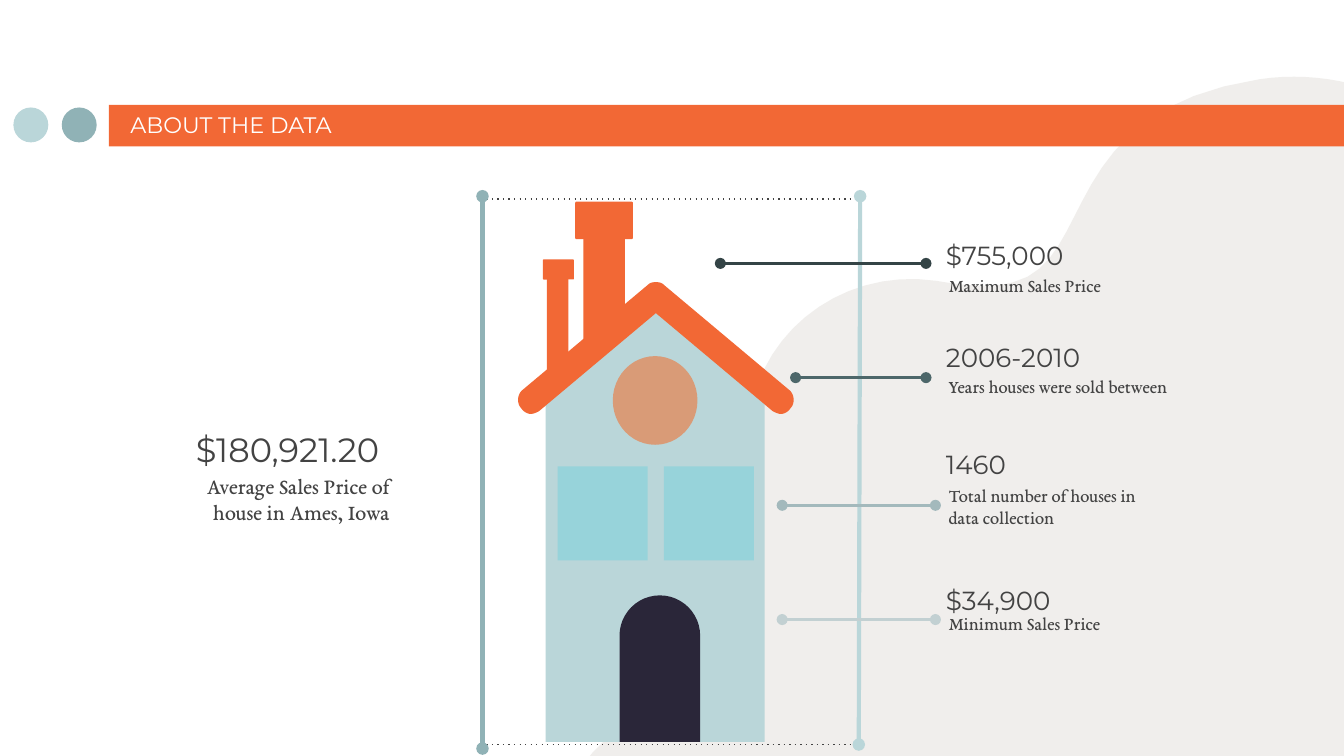
from lxml.etree import SubElement
from pptx import Presentation
from pptx.dml.color import RGBColor
from pptx.enum.shapes import MSO_CONNECTOR, MSO_SHAPE
from pptx.enum.text import MSO_ANCHOR, MSO_AUTO_SIZE, PP_ALIGN
from pptx.oxml.ns import qn
from pptx.util import Inches, Pt

HEX = {
    "orange": "F26835", "teal": "90B2B6", "pale": "BAD6D9", "sand": "E1DED9",
    "text": "434343", "white": "FFFFFF", "tan": "D99B77", "glass": "97D3DA",
    "door": "2A2639", "max": "344446", "years": "4D676A", "count": "A3B9BC",
    "min": "C2D0D2",
}
SANS, SERIF = "Montserrat", "EB Garamond"


def color(name):
    return RGBColor.from_string(HEX[name])


def paint(shape, fill):
    shape.shadow.inherit = False
    shape.fill.solid()
    shape.fill.fore_color.rgb = color(fill)
    shape.line.fill.background()
    return shape


def block(shapes, kind, x, y, w, h, fill):
    box = [Inches(v) for v in (x, y, w, h)]
    return paint(shapes.add_shape(kind, *box), fill)


def trace(start, steps, count=16):
    """Points of an outline; a step is a line (2 numbers) or a curve (6)."""
    pts = [start]
    for step in steps:
        if len(step) == 2:
            pts.append(step)
            continue
        ends = [pts[-1], step[:2], step[2:4], step[4:]]
        for i in range(1, count + 1):
            t = i / count
            mix = ((1 - t) ** 3, 3 * t * (1 - t) ** 2, 3 * t * t * (1 - t), t ** 3)
            pts.append(tuple(sum(m * e[k] for m, e in zip(mix, ends))
                             for k in (0, 1)))
    return pts


def outline(shapes, x, y, pts, fill):
    pts = [(Inches(x + a), Inches(y + b)) for a, b in pts]
    form = shapes.build_freeform(*pts[0], scale=1.0)
    form.add_line_segments(pts[1:], close=True)
    return paint(form.convert_to_shape(), fill)


def link(shapes, x1, y1, x2, y2, hue, width, dots=False):
    """A dotted rule, or a solid line with round ends."""
    line = shapes.add_connector(
        MSO_CONNECTOR.STRAIGHT, *[Inches(v) for v in (x1, y1, x2, y2)])
    line.line.color.rgb = color(hue)
    line.line.width = Pt(width)
    props = line.line._get_or_add_ln()
    if dots:
        SubElement(props, qn("a:prstDash"), val="dot")
    else:
        for end in ("a:headEnd", "a:tailEnd"):
            SubElement(props, qn(end), type="oval")
    SubElement(line._element.spPr, qn("a:effectLst"))


def write(frame, text, size, font, hue="text", align=PP_ALIGN.LEFT):
    frame.word_wrap = True
    frame.auto_size = MSO_AUTO_SIZE.NONE
    frame.margin_left = frame.margin_right = Inches(0.1)
    frame.margin_top = frame.margin_bottom = Inches(0.1)
    para = frame.paragraphs[0]
    para.alignment = align
    run = para.add_run()
    run.text = text
    run.font.size = Pt(size)
    run.font.name = font
    run.font.color.rgb = color(hue)


def label(shapes, x, y, w, h, *text, **style):
    box = shapes.add_textbox(*[Inches(v) for v in (x, y, w, h)])
    write(box.text_frame, *text, **style)


def backdrop(shapes, x, y):
    pts = trace((6.6, 0.34), [
        (6.24, 0.13, 5.81, 0, 5.34, 0.07), (3.83, 0.3, 4.13, 1.42, 3.51, 1.58),
        (3.36, 1.62, 3.16, 1.61, 2.94, 1.57), (2.2, 1.46, 1.54, 2.01, 1.54, 2.73),
        (1.55, 2.97, 1.56, 3.7, 1.52, 4.05), (1.46, 4.74, 0.35, 4.5, 0, 5.82),
        (0, 5.94), (0, 6.04, 0.09, 6.13, 0.2, 6.13), (6.41, 6.13),
        (6.5, 6.13, 6.58, 6.07, 6.6, 5.99)])
    blob = outline(shapes, x, y, pts, "sand")
    hue = blob._element.spPr.find(qn("a:solidFill"))[0]
    SubElement(hue, qn("a:alpha"), val="49000")


def header(shapes, x, y):
    block(shapes, MSO_SHAPE.RECTANGLE, x + 0.71, y, 9.5, 0.31, "orange")
    for gap, fill in ((0, "pale"), (0.36, "teal")):
        block(shapes, MSO_SHAPE.OVAL, x + gap, y + 0.02, 0.26, 0.26, fill)
    title = shapes.title
    title.left, title.top = Inches(x + 0.77), Inches(y + 0.01)
    title.width, title.height = Inches(5.48), Inches(0.34)
    write(title.text_frame, "ABOUT THE DATA", 12, SANS, "white")
    title.text_frame.vertical_anchor = MSO_ANCHOR.BOTTOM
    # Keep the title text above its bar
    shapes._spTree.append(title._element)


def border(shapes, x, y, w, h):
    for row in (y + 0.02, y + h - 0.03):
        link(shapes, x + 0.03, row, x + w + 0.02, row, "text", 0.75, dots=True)
    link(shapes, x, y + h, x, y, "teal", 2.25)
    link(shapes, x + w - 0.01, y + h - 0.03, x + w, y, "pale", 2.25)


def average(shapes, x, y):
    label(shapes, x, y, 1.83, 0.53, "$180,921.20", 18, SANS,
          align=PP_ALIGN.RIGHT)
    label(shapes, x + 0.18, y + 0.32, 1.73, 0.53,
          "Average Sales Price of house in Ames, Iowa", 12, SERIF,
          align=PP_ALIGN.RIGHT)


def house(shapes, x, y):
    parts = shapes.add_group_shape().shapes
    rect, oval = MSO_SHAPE.RECTANGLE, MSO_SHAPE.OVAL
    mid = x + 1.04

    # Chimneys: stack, then cap
    for sx, sy, sw, sh, cx, cy, cw, ch in (
            (0.5, 0.23, 0.31, 0.91, 0.44, 0, 0.43, 0.28),
            (0.23, 0.55, 0.16, 0.81, 0.2, 0.43, 0.23, 0.15)):
        block(parts, rect, x + sx, y + sy, sw, sh, "orange")
        cap = block(parts, MSO_SHAPE.ROUNDED_RECTANGLE,
                    x + cx, y + cy, cw, ch, "orange")
        cap.adjustments[0] = 0.04

    # Walls and round window
    walls = [(0, 0.7), (-0.82, 1.38), (-0.82, 4.02), (0.81, 4.02), (0.81, 1.38)]
    outline(parts, mid, y, walls, "pale")
    block(parts, oval, mid - 0.32, y + 1.15, 0.63, 0.66, "tan")

    # Roof: right half and its mirror
    half = trace((0, 0), [
        (0.02, 0, 0.04, 0, 0.06, 0.02), (0.99, 0.8),
        (1.03, 0.83, 1.04, 0.9, 1, 0.94), (0.98, 0.97, 0.95, 0.98, 0.93, 0.98),
        (0.91, 0.98, 0.89, 0.97, 0.87, 0.96), (0, 0.23)])
    roof = half + [(-a, b) for a, b in half[-2:0:-1]]
    outline(parts, mid, y + 0.6, roof, "orange")

    # Door and windows
    door = block(parts, MSO_SHAPE.ROUND_2_SAME_RECTANGLE,
                 x + 0.77, y + 2.93, 0.6, 1.09, "door")
    door.adjustments[0] = 0.5
    for gap in (0.31, 1.1):
        block(parts, rect, x + gap, y + 1.97, 0.67, 0.7, "glass")


def callout(shapes, x, y, value, note, wide, drop, start, end, row, hue):
    label(shapes, x, y, 1.73, 0.53, value, 14, SANS)
    label(shapes, x + 0.02, y + drop, wide, 0.29, note, 10, SERIF)
    link(shapes, start, y + row, end, y + row, hue, 1.5)


def main():
    deck = Presentation()
    # A 16:9 page
    deck.slide_width, deck.slide_height = Inches(10), Inches(10 * 9 / 16)
    shapes = deck.slides.add_slide(deck.slide_layouts[5]).shapes
    backdrop(shapes, 4.03, 0.52)
    header(shapes, 0.1, 0.78)
    border(shapes, 3.59, 1.46, 2.81, 4.11)
    average(shapes, 1.09, 3.09)
    house(shapes, 3.84, 1.5)
    for y, *rest in (
            (1.68, "$755,000", "Maximum Sales Price",
             1.73, 0.26, 5.36, 6.89, 0.28, "max"),
            (2.44, "2006-2010", "Years houses were sold between",
             2, 0.25, 5.92, 6.89, 0.37, "years"),
            (3.24, "1460", "Total number of houses in data collection",
             1.73, 0.26, 5.82, 6.96, 0.52, "count"),
            (4.25, "$34,900", "Minimum Sales Price",
             1.73, 0.2, 5.82, 6.96, 0.36, "min")):
        callout(shapes, 6.94, y, *rest)
    deck.save("out.pptx")


if __name__ == "__main__":
    main()
